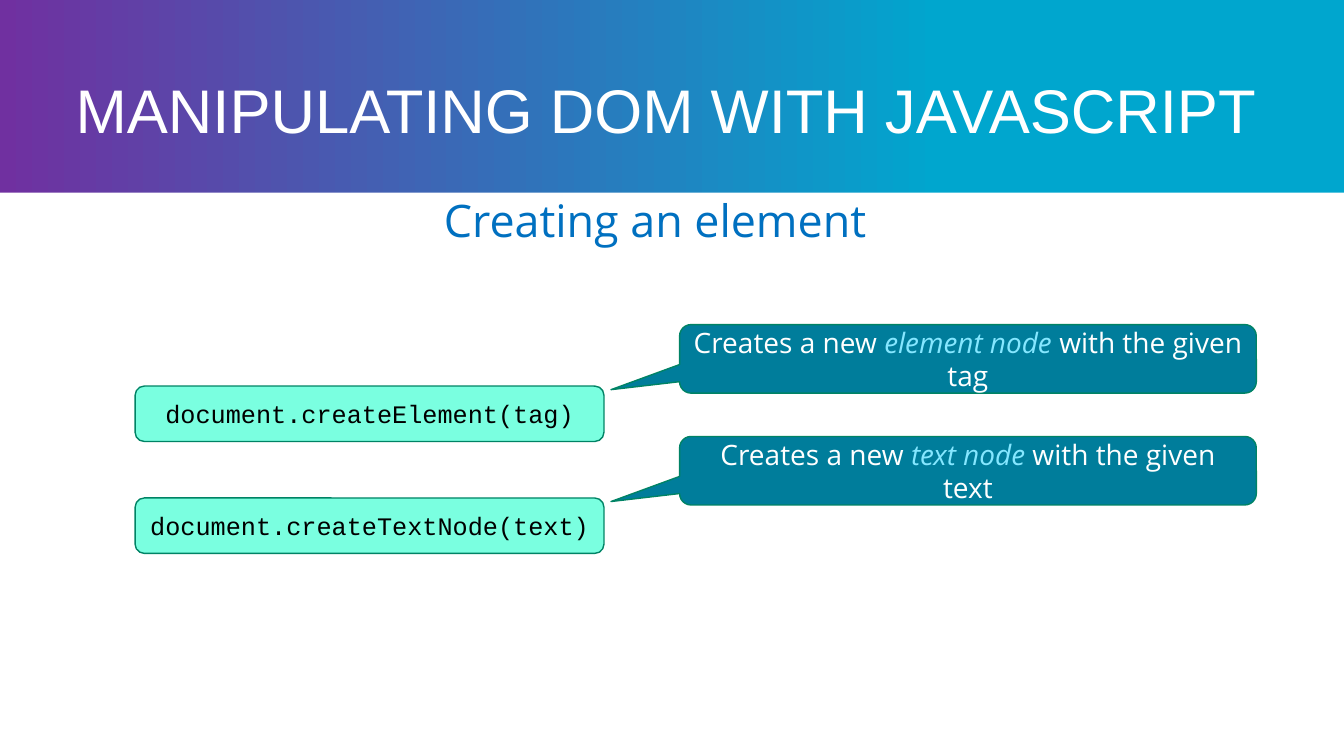
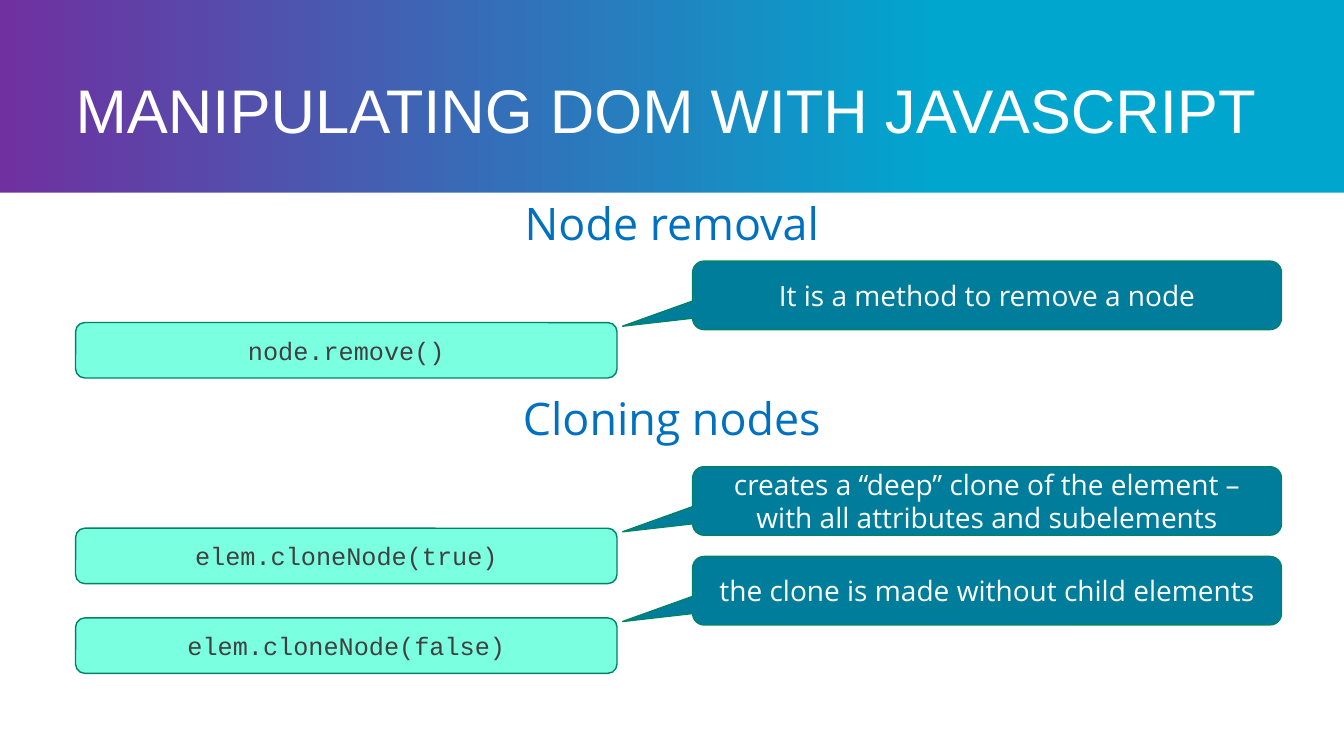
"""Build two slides on creating, removing and cloning DOM nodes."""
from copy import deepcopy

from pptx import Presentation
from pptx.dml.color import RGBColor
from pptx.enum import shapes, text
from pptx.util import Inches, Pt

WHITE = RGBColor(0xFF, 0xFF, 0xFF)
BLACK = RGBColor(0x00, 0x00, 0x00)
GRAY = RGBColor(0x40, 0x40, 0x40)
CYAN = RGBColor(0x00, 0xA6, 0xCE)
PURPLE = RGBColor(0x70, 0x30, 0xA0)
BLUE = RGBColor(0x00, 0x70, 0xC0)
TEAL = RGBColor(0x00, 0x7D, 0x9B)
MINT = RGBColor(0x7A, 0xFF, 0xE0)
GREEN = RGBColor(0x00, 0x83, 0x65)
TERM = RGBColor(0x85, 0xE7, 0xFF)

WIDTH, HEIGHT, BAND = 13.33, 7.5, 1.91
GRADIENT = [(0, CYAN), (0.3, CYAN), (1, PURPLE)]
TITLE = "MANIPULATING DOM WITH JAVASCRIPT"
CODE_HEIGHT, CALLOUT_HEIGHT, CALLOUT_RISE = 0.55, 0.68, 0.61
CALLOUT_POINTER = (-0.619, 0.45, 0.167)

SLIDES = [
    {
        "headings": [("Creating an element", 3.78, 1.86, 5.44)],
        "code": (1.34, 4.65, BLACK),
        "callout": (6.74, 5.72),
        "rows": [
            (3.83, "document.createElement(tag)",
             ["Creates a new ", "element node ", "with the given tag"]),
            (4.94, "document.createTextNode(text)",
             ["Creates a new ", "text node", " with the given text"]),
        ],
    },
    {
        "headings": [("Node removal", 5.03, 1.89, 3.27),
                     ("Cloning nodes", 5.03, 3.83, 3.27)],
        "code": (0.75, 5.37, GRAY),
        "callout": (6.87, 5.84),
        "rows": [
            (3.2, "node.remove()", ["It is a method to remove a node"]),
            (5.24, "elem.cloneNode(true)",
             ["creates a “deep” clone of the element – "
              "with all attributes and subelements"]),
            (6.13, "elem.cloneNode(false)",
             ["the clone is made without child elements"]),
        ],
    },
]


def write(shape, parts, font, size, color, align=text.PP_ALIGN.CENTER):
    """Write one paragraph whose every second part is a highlighted term."""
    shape.text_frame.word_wrap = True
    paragraph = shape.text_frame.paragraphs[0]
    paragraph.alignment = align
    paragraph.font.name = font
    paragraph.font.size = Pt(size)
    paragraph.font.color.rgb = color
    for index, part in enumerate(parts):
        run = paragraph.add_run()
        run.text = part
        if index % 2:
            run.font.italic = True
            run.font.color.rgb = TERM
    return paragraph


def add_box(slide, kind, box, fill, line=None):
    """Add a flat filled shape, outlined if a line colour is given."""
    shape = slide.shapes.add_shape(kind, *map(Inches, box))
    shape.shadow.inherit = False
    shape.fill.solid()
    shape.fill.fore_color.rgb = fill
    if line is None:
        shape.line.fill.background()
    else:
        shape.line.color.rgb = line
        shape.line.width = Pt(1)
    shape.text_frame.vertical_anchor = text.MSO_ANCHOR.MIDDLE
    return shape


def style_template(presentation, layout):
    """Give the master its gradient and the layout its title place."""
    master = presentation.slide_master
    fill = master.background.fill
    fill.gradient()
    fill.gradient_angle = 180
    first = master.element.xpath(".//p:bg//a:gs")[0]
    first.addnext(deepcopy(first))
    for stop, (position, color) in zip(fill.gradient_stops, GRADIENT):
        stop.position = position
        stop.color.rgb = color
    for placeholder in list(layout.placeholders):
        if placeholder.placeholder_format.type != shapes.PP_PLACEHOLDER.TITLE:
            placeholder.element.getparent().remove(placeholder.element)
            continue
        placeholder.left, placeholder.top = Inches(0.75), Inches(0.75)
        placeholder.width, placeholder.height = Inches(11.83), Inches(0.75)
        placeholder.text_frame.margin_left = 0
        placeholder.text_frame.auto_size = text.MSO_AUTO_SIZE.NONE


def add_panel(slide, layout):
    """Put the white content panel behind everything on the layout."""
    panel = add_box(slide, shapes.MSO_SHAPE.RECTANGLE,
                    (0, BAND, WIDTH, HEIGHT - BAND), WHITE)
    layout.shapes.element.insert(2, panel.element)


def add_content(slide, content):
    """Add the title, the headings and the code rows with their callouts."""
    title = write(slide.shapes.title, [TITLE], "Arial", 44, WHITE,
                  text.PP_ALIGN.LEFT)
    title.line_spacing = 0.9
    for heading, left, top, width in content["headings"]:
        box = slide.shapes.add_textbox(*map(Inches, (left, top, width, 0.64)))
        write(box, [heading], "Open Sans", 32, BLUE)
    code_left, code_width, code_color = content["code"]
    callout_left, callout_width = content["callout"]
    for top, code, explanation in content["rows"]:
        callout = add_box(
            slide, shapes.MSO_SHAPE.ROUNDED_RECTANGULAR_CALLOUT,
            (callout_left, top - CALLOUT_RISE, callout_width, CALLOUT_HEIGHT),
            TEAL, GREEN)
        for index, value in enumerate(CALLOUT_POINTER):
            callout.adjustments[index] = value
        write(callout, explanation, "Open Sans", 20, WHITE)
        code_box = add_box(slide, shapes.MSO_SHAPE.ROUNDED_RECTANGLE,
                           (code_left, top, code_width, CODE_HEIGHT),
                           MINT, GREEN)
        write(code_box, [code], "Courier New", 18, code_color)


def main():
    """Build and save the presentation."""
    presentation = Presentation()
    presentation.slide_width = Inches(WIDTH)
    presentation.slide_height = Inches(HEIGHT)
    layout = presentation.slide_layouts.get_by_name("Title Only")
    style_template(presentation, layout)
    slides = [presentation.slides.add_slide(layout) for _ in SLIDES]
    add_panel(slides[0], layout)
    for slide, content in zip(slides, SLIDES):
        add_content(slide, content)
    presentation.save("out.pptx")


if __name__ == "__main__":
    main()
